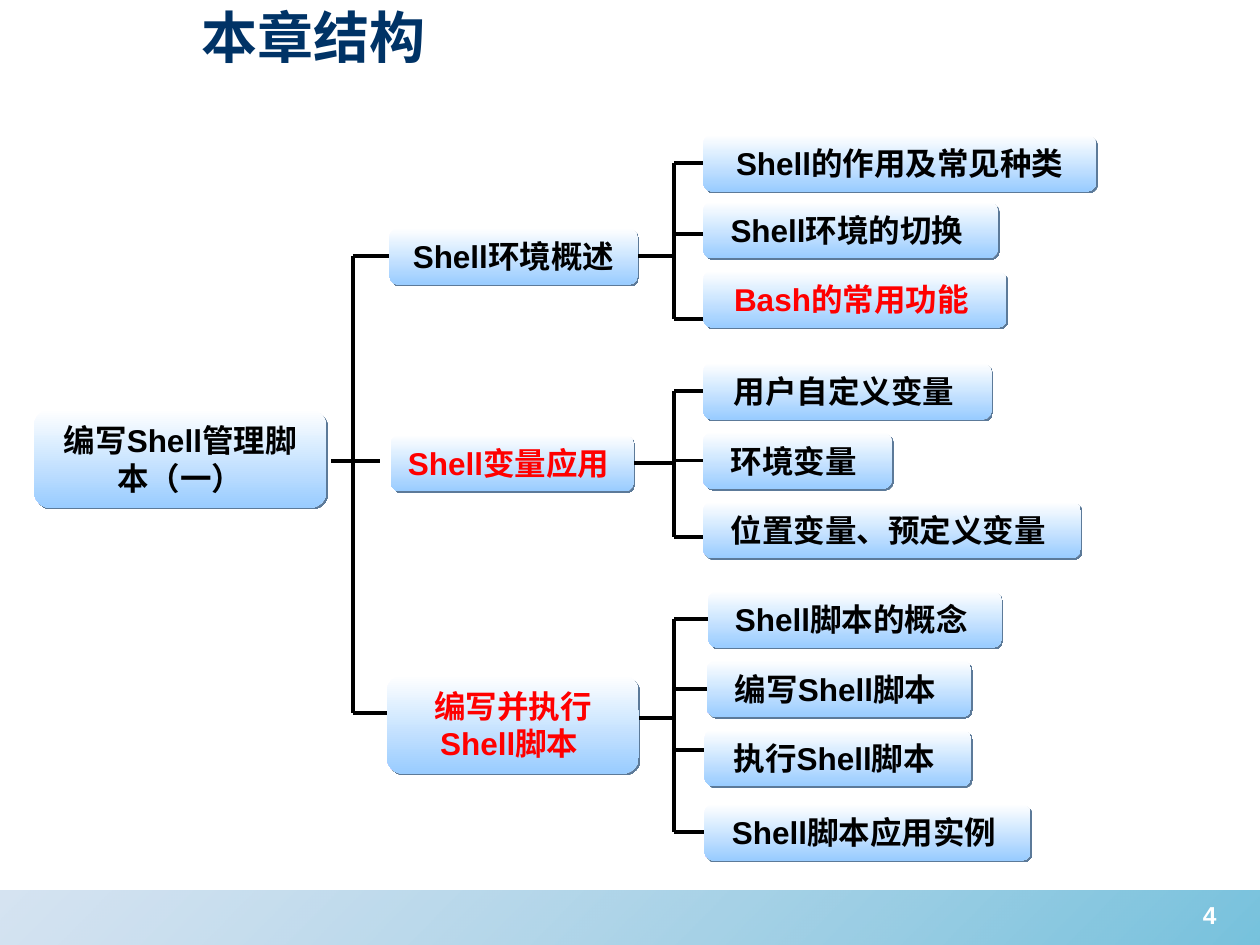
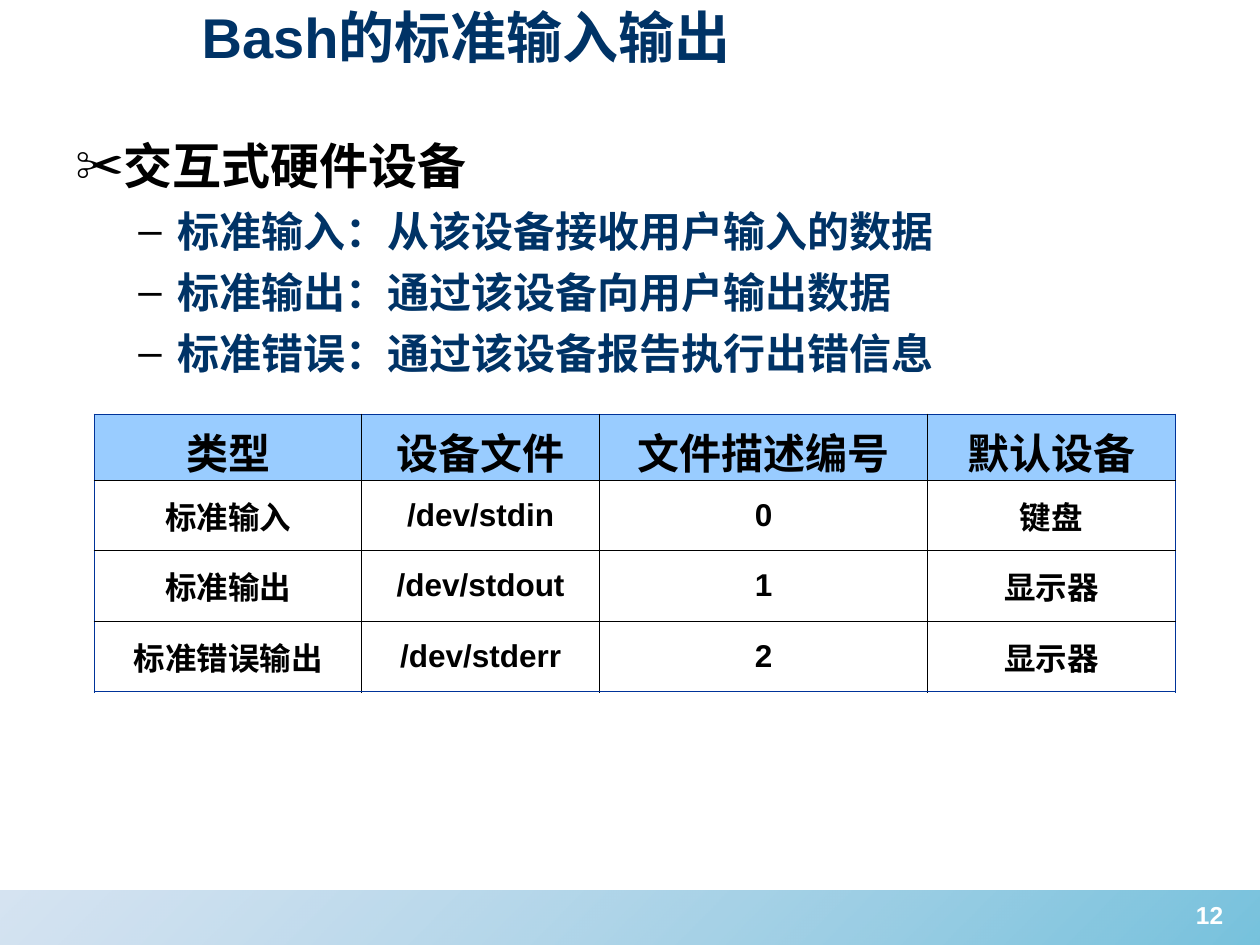
from dataclasses import dataclass

from lxml import etree
from pptx import Presentation
from pptx import util as u
from pptx.dml.color import RGBColor
from pptx.enum import shapes, text
from pptx.oxml.ns import qn

PX = 9144  # EMU in one px, 100 px to the inch


@dataclass(frozen=True)
class Theme:
    font: str = "Arial"
    ink: str = "000000"
    navy: str = "003366"
    hot: str = "FF0000"
    white: str = "FFFFFF"
    sky: str = "99CCFF"
    frame: str = "003399"
    box_shadow: str = "5C7A99"
    text_shadow: str = "C0C0C0"
    band: tuple = ("88B0D8", "1C99C6")
    band_alpha: tuple = (35, 60)
    title_pt: int = 32
    heading_pt: int = 28
    item_pt: int = 24
    label_pt: int = 18
    page_pt: int = 14
    line_pt: float = 2.25


def px(*lengths):
    return [u.Emu(round(length * PX)) for length in lengths]


def child(parent, tag, **attributes):
    node = etree.SubElement(parent, qn(tag))
    for key, value in attributes.items():
        node.set(key, str(value))
    return node


def add_shadow(effects, colour, distance_pt):
    shadow = child(effects, "a:outerShdw", blurRad=0, dist=u.Pt(distance_pt),
                   dir=45 * 60000, algn="ctr", rotWithShape=0)
    child(shadow, "a:srgbClr", val=colour)


class Deck:
    def __init__(self, theme):
        self.theme = theme
        self.prs = Presentation()
        self.prs.slide_width, self.prs.slide_height = px(1000, 750)
        self.slide = None

    def start(self, title, page):
        """Open a slide with the shared band, page number and title."""
        t = self.theme
        self.slide = self.prs.slides.add_slide(self.prs.slide_layouts[5])
        band = self.shape(shapes.MSO_SHAPE.RECTANGLE, (0, 707, 1000, 43), t.band, 45)
        stops = band.element.spPr.iter(qn("a:srgbClr"))
        for stop, alpha in zip(stops, t.band_alpha):
            child(stop, "a:alpha", val=alpha * 1000)
        number = self.textbox((924, 709, 72, 52))
        self.add_text(number.paragraphs[0], page, t.page_pt, t.white, centred=True)

        heading = self.slide.shapes.title
        heading.left, heading.top, heading.width, heading.height = px(150, -3, 807, 63)
        frame = heading.text_frame
        frame.vertical_anchor = text.MSO_ANCHOR.MIDDLE
        self.add_text(frame.paragraphs[0], title, t.title_pt, t.navy)

    def add_text(self, paragraph, words, size, colour, centred=False):
        paragraph.alignment = text.PP_ALIGN.CENTER if centred else text.PP_ALIGN.LEFT
        run = paragraph.add_run()
        run.text = words
        font = run.font
        font.name, font.size, font.bold = self.theme.font, u.Pt(size), True
        font.color.rgb = RGBColor.from_string(colour)
        return run

    def textbox(self, at):
        frame = self.slide.shapes.add_textbox(*px(*at)).text_frame
        frame.word_wrap = True
        return frame

    def shape(self, kind, at, colours, angle):
        """Add a borderless shape with a gradient running clockwise at angle."""
        shape = self.slide.shapes.add_shape(kind, *px(*at))
        shape.shadow.inherit = False
        shape.line.fill.background()
        shape.fill.gradient()
        shape.fill.gradient_angle = 360 - angle
        for stop, colour in zip(shape.fill.gradient_stops, colours):
            stop.color.rgb = RGBColor.from_string(colour)
        return shape

    def box(self, label, at, hot=False):
        t = self.theme
        box = self.shape(shapes.MSO_SHAPE.ROUNDED_RECTANGLE, at, (t.white, t.sky), 90)
        add_shadow(box.element.spPr.find(qn("a:effectLst")), t.box_shadow, 1.4)
        frame = box.text_frame
        frame.word_wrap = True
        frame.vertical_anchor = text.MSO_ANCHOR.MIDDLE
        self.add_text(frame.paragraphs[0], label, t.label_pt, t.hot if hot else t.ink, True)
        return box

    def line(self, x1, y1, x2, y2):
        line = self.slide.shapes.add_connector(
            shapes.MSO_CONNECTOR.STRAIGHT, *px(x1, y1, x2, y2))
        line.line.width = u.Pt(self.theme.line_pt)
        line.line.color.rgb = RGBColor.from_string(self.theme.ink)
        child(line.element.spPr, "a:effectLst")
        return line

    def stub(self, box, side, spine_x, y=None):
        """Link a spine to a box side (1 left, 3 right); join it unless y is set."""
        edge = box.left if side == 1 else box.left + box.width
        level = (box.top + box.height / 2) / PX if y is None else y
        line = self.line(spine_x, level, edge / PX, level)
        if y is None:
            line.end_connect(box, side)
        return level

    def bullet(self, paragraph, words, mark, size, colour, margin, hang, before):
        run = self.add_text(paragraph, words, size, colour)
        paragraph.space_before = u.Pt(before)
        properties = paragraph._p.get_or_add_pPr()
        properties.set("marL", str(margin * PX))
        properties.set("indent", str(-hang * PX))
        child(child(properties, "a:buClr"), "a:srgbClr", val=self.theme.ink)
        child(properties, "a:buFont", typeface=self.theme.font)
        child(properties, "a:buChar", char=mark)
        effects = etree.Element(qn("a:effectLst"))
        add_shadow(effects, self.theme.text_shadow, 1.5)
        run._r.get_or_add_rPr().find(qn("a:solidFill")).addnext(effects)

    def table(self, rows, at, widths, heights):
        t = self.theme
        table = self.slide.shapes.add_table(
            len(rows), len(widths), *px(*at, sum(widths), sum(heights))).table
        table.horz_banding = table.first_row = False
        for column, width in zip(table.columns, px(*widths)):
            column.width = width
        for row, height in zip(table.rows, px(*heights)):
            row.height = height
        last_row, last_column = len(rows) - 1, len(widths) - 1
        for r, row in enumerate(rows):
            for c, words in enumerate(row):
                cell = table.cell(r, c)
                self.borders(cell, {"a:lnL": c == 0, "a:lnR": c == last_column,
                                    "a:lnT": r == 0, "a:lnB": r == last_row})
                paragraph = cell.text_frame.paragraphs[0]
                if r == 0:
                    cell.fill.solid()
                    cell.fill.fore_color.rgb = RGBColor.from_string(t.sky)
                else:
                    cell.fill.background()
                    cell.vertical_anchor = text.MSO_ANCHOR.MIDDLE
                paragraph.space_before = u.Pt(4.5 if r else 6)
                self.add_text(paragraph, words, t.label_pt if r else t.item_pt, t.ink, True)

    def borders(self, cell, outer):
        """Draw the four sides; outer tells which lie on the table's frame."""
        properties = cell._tc.get_or_add_tcPr()
        for side, on_frame in outer.items():
            line = child(properties, side, w=u.Pt(1.08 if on_frame else 0.45))
            colour = self.theme.frame if on_frame else self.theme.ink
            child(child(line, "a:solidFill"), "a:srgbClr", val=colour)


BOX_H, SPINE_X, TRUNK_X = 45, 535, 280

# Topic: label, place, hot, level of left and right stubs (None joins the box);
# then its leaves: label, left, top, width, level of the stub, hot.
TOPICS = [
    (("Shell环境概述", (309, 181, 197, BOX_H), False, None, None), [
        ("Shell的作用及常见种类", 558, 107, 312, None, False),
        ("Shell环境的切换 ", 558, 160, 234, 186, False),
        ("Bash的常用功能 ", 558, 215, 241, 253, True)]),
    (("Shell变量应用 ", (310, 345, 193, BOX_H), True, None, None), [
        ("用户自定义变量 ", 558, 288, 229, None, False),
        ("环境变量 ", 558, 343, 150, None, False),
        ("位置变量、预定义变量 ", 558, 398, 300, 426, False)]),
    (("编写并执行Shell脚本 ", (307, 536, 200, 78), True, 566, 570), [
        ("Shell脚本的概念 ", 562, 469, 233, None, False),
        ("编写Shell脚本 ", 561, 524, 210, None, False),
        ("执行Shell脚本 ", 559, 579, 212, 595, False),
        ("Shell脚本应用实例 ", 559, 638, 259, None, False)]),
]
ROOT_TOPIC = 1  # the topic that faces the root's own stub

DEVICES = [
    ("类型", "设备文件", "文件描述编号", "默认设备"),
    ("标准输入", "/dev/stdin", "0", "键盘"),
    ("标准输出", "/dev/stdout", "1", "显示器"),
    ("标准错误输出", "/dev/stderr", "2", "显示器"),
]


def chapter_structure(deck):
    deck.start("本章结构", "4")
    deck.box("编写Shell管理脚本（一）", (27, 325, 232, 78))
    deck.line(263, 366, 302, 366)
    trunk = []
    for index, ((label, at, hot, left_y, right_y), leaves) in enumerate(TOPICS):
        topic = deck.box(label, at, hot)
        if index != ROOT_TOPIC:
            trunk.append(deck.stub(topic, 1, TRUNK_X, left_y))
        deck.stub(topic, 3, SPINE_X, right_y)
        levels = []
        for name, left, top, width, level, is_hot in leaves:
            leaf = deck.box(name, (left, top, width, BOX_H), is_hot)
            levels.append(deck.stub(leaf, 1, SPINE_X, level))
        deck.line(SPINE_X, levels[0], SPINE_X, levels[-1])
    deck.line(TRUNK_X, trunk[0], TRUNK_X, trunk[-1])


def standard_streams(deck):
    t = deck.theme
    deck.start("Bash的标准输入输出", "12")
    body = deck.textbox((50, 103, 900, 220))
    deck.bullet(body.paragraphs[0], "交互式硬件设备", "✂", t.heading_pt, t.ink, 38, 38, 7)
    for words in ("标准输入：从该设备接收用户输入的数据",
                  "标准输出：通过该设备向用户输出数据",
                  "标准错误：通过该设备报告执行出错信息"):
        deck.bullet(body.add_paragraph(), words, "–", t.item_pt, t.navy, 81, 31, 6)
    deck.table(DEVICES, (75, 329), (212, 189, 260, 197), (52, 56, 56, 56))


def main():
    deck = Deck(Theme())
    chapter_structure(deck)
    standard_streams(deck)
    deck.prs.save("out.pptx")


if __name__ == "__main__":
    main()
